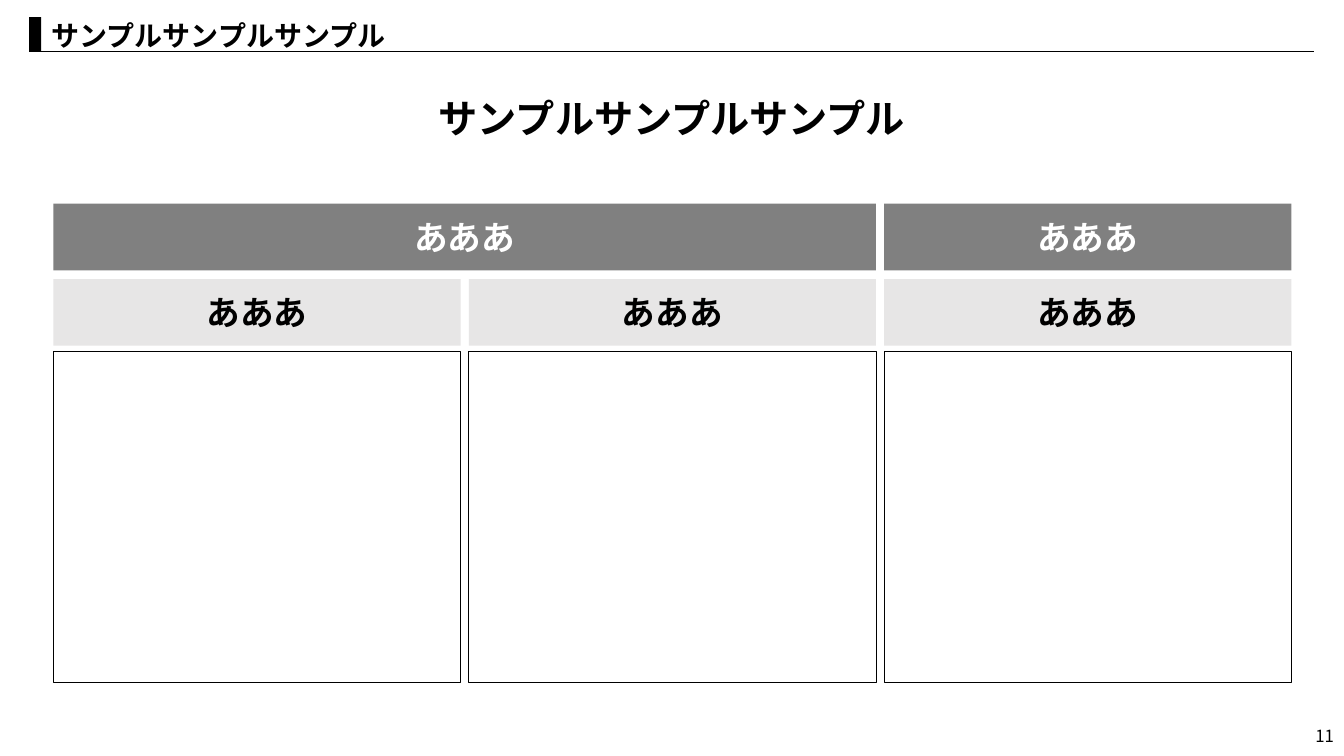
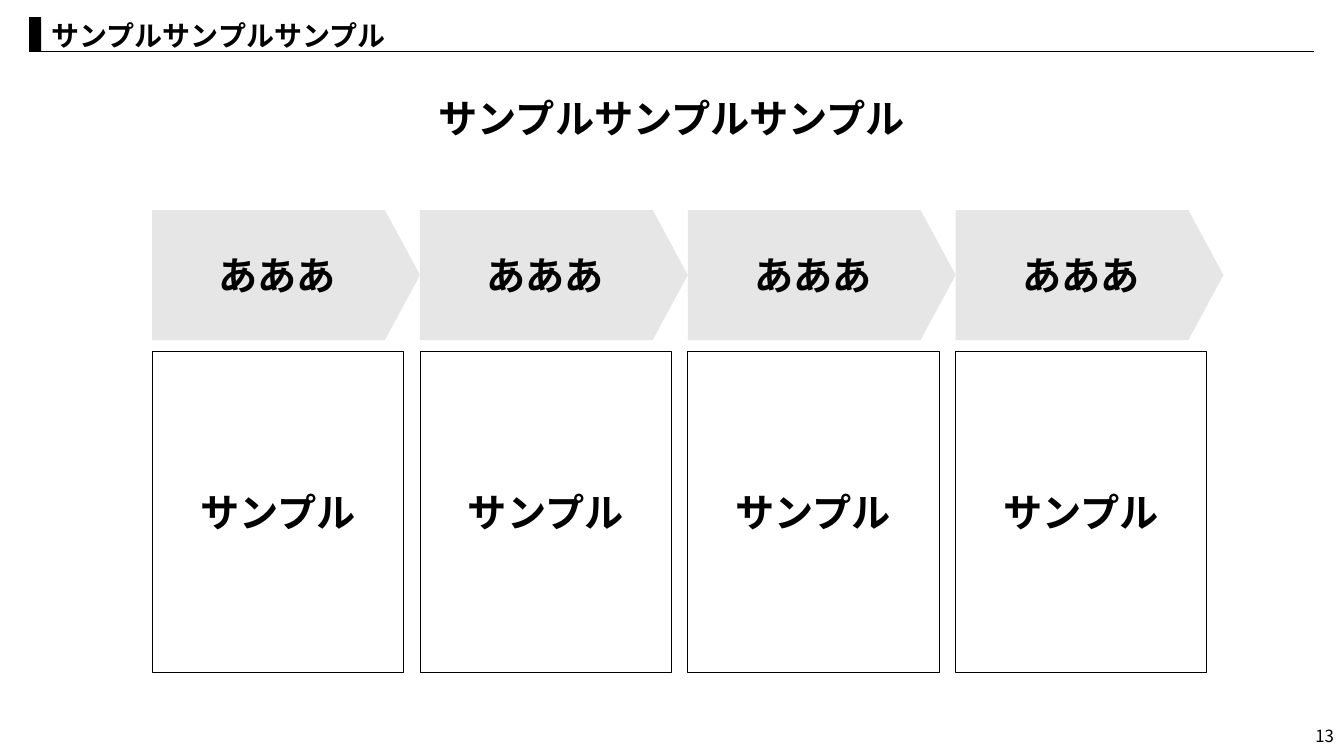
from lxml import etree
from pptx import Presentation
from pptx.dml.color import RGBColor
from pptx.enum import shapes, text
from pptx.oxml import ns
from pptx.util import Pt

BLACK = RGBColor(0x00, 0x00, 0x00)
WHITE = RGBColor(0xFF, 0xFF, 0xFF)
DARK_GRAY = RGBColor(0x80, 0x80, 0x80)
LIGHT_GRAY = RGBColor(0xE7, 0xE6, 0xE6)
FONT = "Noto Sans CJK JP"
HEADING = "サンプルサンプルサンプル"
LABEL = "あああ"
RECT = shapes.MSO_SHAPE.RECTANGLE
PENTAGON = shapes.MSO_SHAPE.PENTAGON
LEFT, CENTER, RIGHT = text.PP_ALIGN.LEFT, text.PP_ALIGN.CENTER, text.PP_ALIGN.RIGHT
TOP, MIDDLE = text.MSO_ANCHOR.TOP, text.MSO_ANCHOR.MIDDLE
GROW = text.MSO_AUTO_SIZE.SHAPE_TO_FIT_TEXT


class Deck:
    """Shared style and the slide being built; all lengths are points."""

    def __init__(self):
        self.prs = Presentation()
        self.prs.slide_width, self.prs.slide_height = Pt(960), Pt(540)
        self.slide = None

    def add_words(self, frame, words, size, color=BLACK, bold=True,
                  align=CENTER, anchor=MIDDLE, wrap=True):
        frame.word_wrap = wrap
        frame.vertical_anchor = anchor
        paragraph = frame.paragraphs[0]
        paragraph.alignment = align
        run = paragraph.add_run()
        run.text = words
        font = run.font
        font.size, font.bold = Pt(size), bold
        font.color.rgb = color
        font.name = FONT
        # Japanese glyphs take the East Asian typeface
        etree.SubElement(run._r.get_or_add_rPr(), ns.qn("a:ea"), typeface=FONT)

    def textbox(self, box, words, size, **style):
        frame = self.slide.shapes.add_textbox(*map(Pt, box)).text_frame
        self.add_words(frame, words, size, **style)
        return frame

    def block(self, box, words="", size=24, fill=None, outline=None,
              color=BLACK, preset=RECT):
        block = self.slide.shapes.add_shape(preset, *map(Pt, box))
        block.shadow.inherit = False
        if fill is None:
            block.fill.background()
        else:
            block.fill.solid()
            block.fill.fore_color.rgb = fill
        if outline is None:
            block.line.fill.background()
        else:
            block.line.color.rgb = outline
            block.line.width = Pt(0.5)
        if words:
            self.add_words(block.text_frame, words, size, color)
        return block

    def rule(self, left, right, y):
        rule = self.slide.shapes.add_connector(
            shapes.MSO_CONNECTOR.STRAIGHT, Pt(left), Pt(y), Pt(right), Pt(y))
        rule.line.color.rgb = BLACK
        rule.line.width = Pt(0.5)
        etree.SubElement(rule._element.spPr, ns.qn("a:effectLst"))

    def title(self, words):
        title = self.slide.shapes.title
        title.left, title.top, title.width, title.height = map(
            Pt, (29.5, 9.4, 913, 31.7))
        self.add_words(title.text_frame, words, 20, align=LEFT, anchor=TOP)
        title.text_frame.auto_size = GROW

    def new_slide(self, title, message, number):
        self.slide = self.prs.slides.add_slide(self.prs.slide_layouts[5])
        # Header band
        self.title(title)
        self.rule(20.9, 938.9, 36.7)
        self.block((20.9, 12.2, 8.6, 24.5), fill=BLACK)
        # Key message
        frame = self.textbox((303.2, 64.1, 353.6, 41), message, 28,
                             anchor=TOP, wrap=False)
        frame.auto_size = GROW
        # Page number
        self.textbox((744, 511.2, 216, 28.8), number, 12, bold=False,
                     align=RIGHT)


def build_comparison(deck):
    deck.new_slide(HEADING, HEADING, "11")
    left, width, gap, band = 38.2, 290.9, 5.75, 47.6
    columns = [left + i * (width + gap) for i in range(3)]
    # Group headings: the first spans two columns
    for x, span in ((columns[0], 2 * width + gap), (columns[2], width)):
        deck.block((x, 145.5, span, band), LABEL, fill=DARK_GRAY, color=WHITE)
    # Column headings with empty boxes below
    for x in columns:
        deck.block((x, 199.3, width, band), LABEL, fill=LIGHT_GRAY)
        deck.block((x, 251, width, 236.4), outline=BLACK)


def build_process(deck):
    deck.new_slide(HEADING, HEADING, "13")
    left, step_width, box_width = 108.7, 191.3, 179.4
    # Step arrows with a box under each
    for i in range(4):
        x = left + i * step_width
        step = deck.block((x, 150, step_width, 92.9), LABEL, 28,
                          fill=LIGHT_GRAY, preset=PENTAGON)
        step.adjustments[0] = 0.27
        deck.block((x, 251, box_width, 229.6), "サンプル", 28, outline=BLACK)


def main():
    deck = Deck()
    build_comparison(deck)
    build_process(deck)
    deck.prs.save("out.pptx")


if __name__ == "__main__":
    main()
